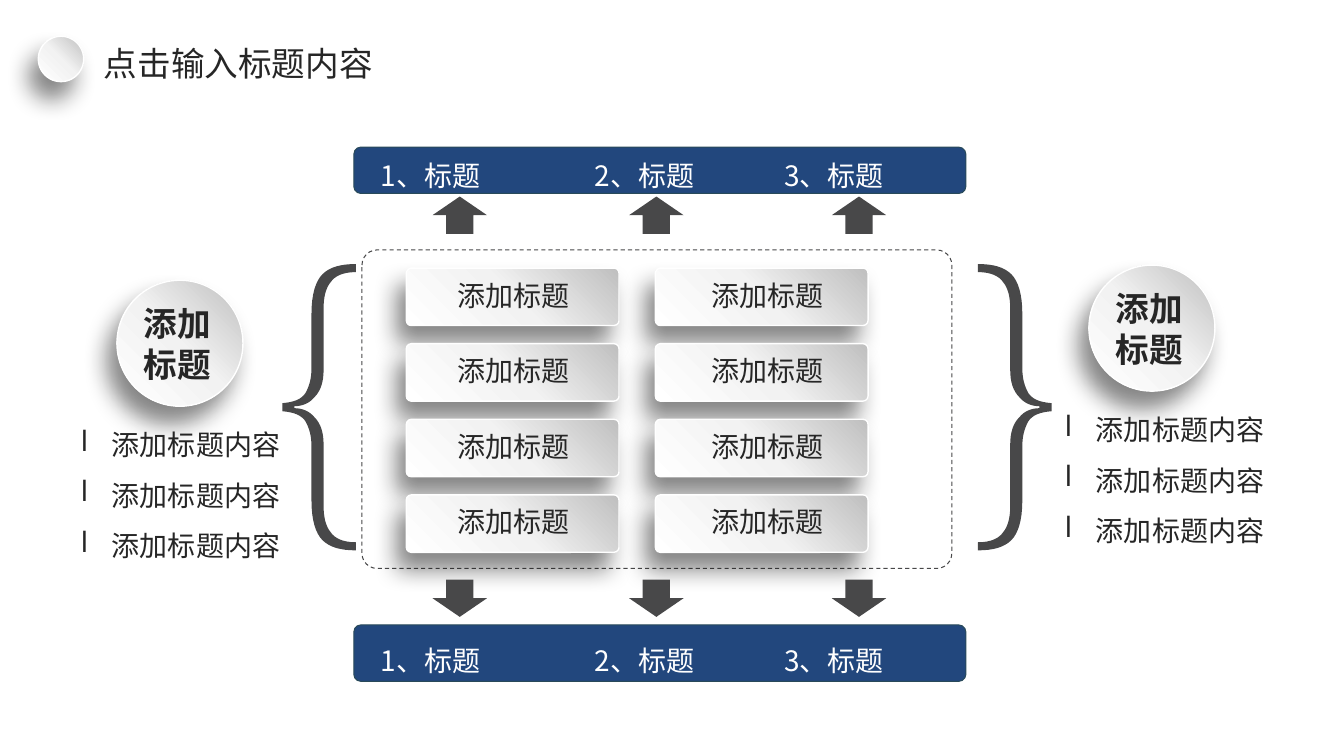
from pptx import Presentation
from pptx import util as u
from pptx.dml import color
from pptx.enum import dml, shapes, text
from pptx.oxml import parse_xml
from pptx.oxml.ns import nsdecls, qn

FONT = "Noto Sans CJK SC"
INK, GREY, BLUE, WHITE = "262626", "484849", "22477D", "FFFFFF"
KIND = shapes.MSO_SHAPE
MID, LEFT = text.PP_ALIGN.CENTER, text.PP_ALIGN.LEFT

# Lower half of a brace: x from its open end, y from its centre.
# One point is a straight side, three points are a Bezier curve.
START = (0.73, 0.04)
HALF = [
    [(0.61, 0.05), (0.54, 0.08), (0.5, 0.14)],
    [(0.46, 0.21), (0.44, 0.29), (0.44, 0.39)],
    [(0.44, 0.93)],
    [(0.44, 1.12), (0.4, 1.25), (0.33, 1.32)],
    [(0.26, 1.39), (0.15, 1.42), (0, 1.42)],
    [(0, 1.34)],
    [(0.13, 1.34), (0.21, 1.3), (0.25, 1.24)],
    [(0.3, 1.18), (0.32, 1.09), (0.32, 0.98)],
    [(0.32, 0.37)],
    [(0.32, 0.25), (0.35, 0.16), (0.41, 0.1)],
    [(0.46, 0.04), (0.53, 0.01), (0.61, 0.01)],
]


def rgb(code):
    return color.RGBColor.from_string(code)


def box(at):
    return [u.Inches(v) for v in at]


def write(frame, lines, size=20, ink=INK, bold=False, align=LEFT,
          space=None, wrap=False, bullet=None):
    frame.word_wrap = wrap
    for i, line in enumerate(lines):
        para = frame.paragraphs[0] if i == 0 else frame.add_paragraph()
        para.alignment = align
        if space:
            para.line_spacing = space
        if bullet:
            props = para._p.get_or_add_pPr()
            props.set("marL", str(u.Inches(0.31)))
            props.set("indent", str(u.Inches(-0.31)))
            props.append(parse_xml(f'<a:buChar {nsdecls("a")} char="{bullet}"/>'))
        run = para.add_run()
        run.text = line
        font = run.font
        font.name, font.size, font.bold = FONT, u.Pt(size), bold
        font.color.rgb = rgb(ink)
        run._r.rPr.find(qn("a:latin")).addnext(
            parse_xml(f'<a:ea {nsdecls("a")} typeface="{FONT}"/>'))


def label(slide, at, lines, **form):
    area = slide.shapes.add_textbox(*box(at))
    write(area.text_frame, lines, **form)


def paint(item, fill=None, line=None, width=0):
    item.shadow.inherit = False
    if fill:
        item.fill.solid()
        item.fill.fore_color.rgb = rgb(fill)
    else:
        item.fill.background()
    if line:
        item.line.color.rgb = rgb(line)
        item.line.width = u.Pt(width)
    else:
        item.line.fill.background()


def shape(slide, kind, at, fill=None, line=None, width=0, round_to=None):
    item = slide.shapes.add_shape(kind, *box(at))
    paint(item, fill, line, width)
    if round_to:
        item.adjustments[0] = round_to / min(at[2:])
    return item


def raised(slide, kind, at, round_to=None):
    """Silver shape with a white rim and a soft shadow."""
    item = shape(slide, kind, at, WHITE, WHITE, 1, round_to)
    props = item._element.spPr
    stops = "".join(
        f'<a:gs pos="{pos}"><a:srgbClr val="{code}"/></a:gs>'
        for pos, code in ((0, "BFBFBF"), (50000, "F2F2F2"), (100000, WHITE)))
    props.replace(props.find(qn("a:solidFill")), parse_xml(
        f'<a:gradFill {nsdecls("a")} rotWithShape="1"><a:gsLst>{stops}</a:gsLst>'
        '<a:lin ang="8100000" scaled="0"/></a:gradFill>'))
    props.find(qn("a:effectLst")).append(parse_xml(
        f'<a:outerShdw {nsdecls("a")} blurRad="{u.Pt(17)}" dist="{u.Pt(14)}" '
        'dir="7200000" algn="tr" rotWithShape="0"><a:srgbClr val="0D0D0D">'
        '<a:alpha val="50000"/></a:srgbClr></a:outerShdw>'))


def curve(a, b, c, d, steps=8):
    for i in range(1, steps + 1):
        t = i / steps
        s = 1 - t
        yield tuple(s**3 * p + 3 * s * s * t * q + 3 * s * t * t * r + t**3 * e
                    for p, q, r, e in zip(a, b, c, d))


def brace(slide, x, y, side):
    """Brace with its open end at x; side is 1 for a right one, -1 for a left one."""
    dots = [START]
    for part in HALF:
        dots += part if len(part) == 1 else curve(dots[-1], *part)
    dots += [(dx, -dy) for dx, dy in reversed(dots)]
    ends = [(u.Inches(x + side * dx), u.Inches(y + dy)) for dx, dy in dots]
    path = slide.shapes.build_freeform(*ends[0])
    path.add_line_segments(ends[1:], close=True)
    paint(path.convert_to_shape(), GREY)


def topic(slide, x, y, list_x):
    """Round topic with three bulleted lines below."""
    raised(slide, KIND.OVAL, (x, y, 1.25, 1.25))
    label(slide, (x + 0.17, y + 0.18, 0.87, 0.91), ["添加", "标题"],
          size=24, bold=True)
    label(slide, (list_x, y + 1.25, 2.24, 1.61), ["添加标题内容"] * 3,
          align=MID, space=1.5, wrap=True, bullet="l")


def bar(slide, y, high, text_y):
    shape(slide, KIND.ROUNDED_RECTANGLE, (3.51, y, 6.07, high),
          BLUE, "294A5A", round_to=0.07)
    for i, x in enumerate((3.68, 5.8, 7.68), 1):
        label(slide, (x, text_y, 1.9, 0.6), [f"{i}、标题"],
              ink=WHITE, space=1.5, wrap=True)


def main():
    deck = Presentation()
    deck.slide_width, deck.slide_height = u.Inches(13.33), u.Inches(7.5)
    slide = deck.slides.add_slide(deck.slide_layouts[5])

    # Title
    title = slide.shapes.title
    title.left, title.top, title.width, title.height = box((1.03, 0.35, 3.1, 0.55))
    frame = title.text_frame
    frame.margin_left = frame.margin_right = 0
    frame.margin_top = frame.margin_bottom = u.Inches(0.05)
    frame.vertical_anchor = text.MSO_ANCHOR.MIDDLE
    write(frame, ["点击输入标题内容"], size=24, wrap=True)
    raised(slide, KIND.OVAL, (0.38, 0.36, 0.45, 0.45))

    # Braces
    brace(slide, 9.7, 4.04, 1)
    brace(slide, 3.53, 4.04, -1)

    # Dashed frame with a grid of cards
    edge = shape(slide, KIND.ROUNDED_RECTANGLE, (3.59, 2.48, 5.85, 3.16),
                 line=GREY, round_to=0.15)
    edge.line.dash_style = dml.MSO_LINE.DASH
    for row in range(4):
        y = 2.66 + 0.75 * row
        for x, text_x in ((4.03, 4.44), (6.5, 6.96)):
            raised(slide, KIND.ROUNDED_RECTANGLE, (x, y, 2.11, 0.57), 0.05)
            label(slide, (text_x, y + 0.05, 1.31, 0.44), ["添加标题"], align=MID)

    # Side topics
    topic(slide, 10.8, 2.63, 10.43)
    topic(slide, 1.16, 2.78, 0.67)

    # Bars and arrows
    bar(slide, 1.46, 0.46, 1.36)
    bar(slide, 6.2, 0.56, 6.17)
    for x in (4.29, 6.24, 8.25):
        shape(slide, KIND.UP_ARROW, (x, 1.95, 0.54, 0.37), GREY)
        shape(slide, KIND.DOWN_ARROW, (x, 5.75, 0.54, 0.37), GREY)

    deck.save("out.pptx")


if __name__ == "__main__":
    main()
